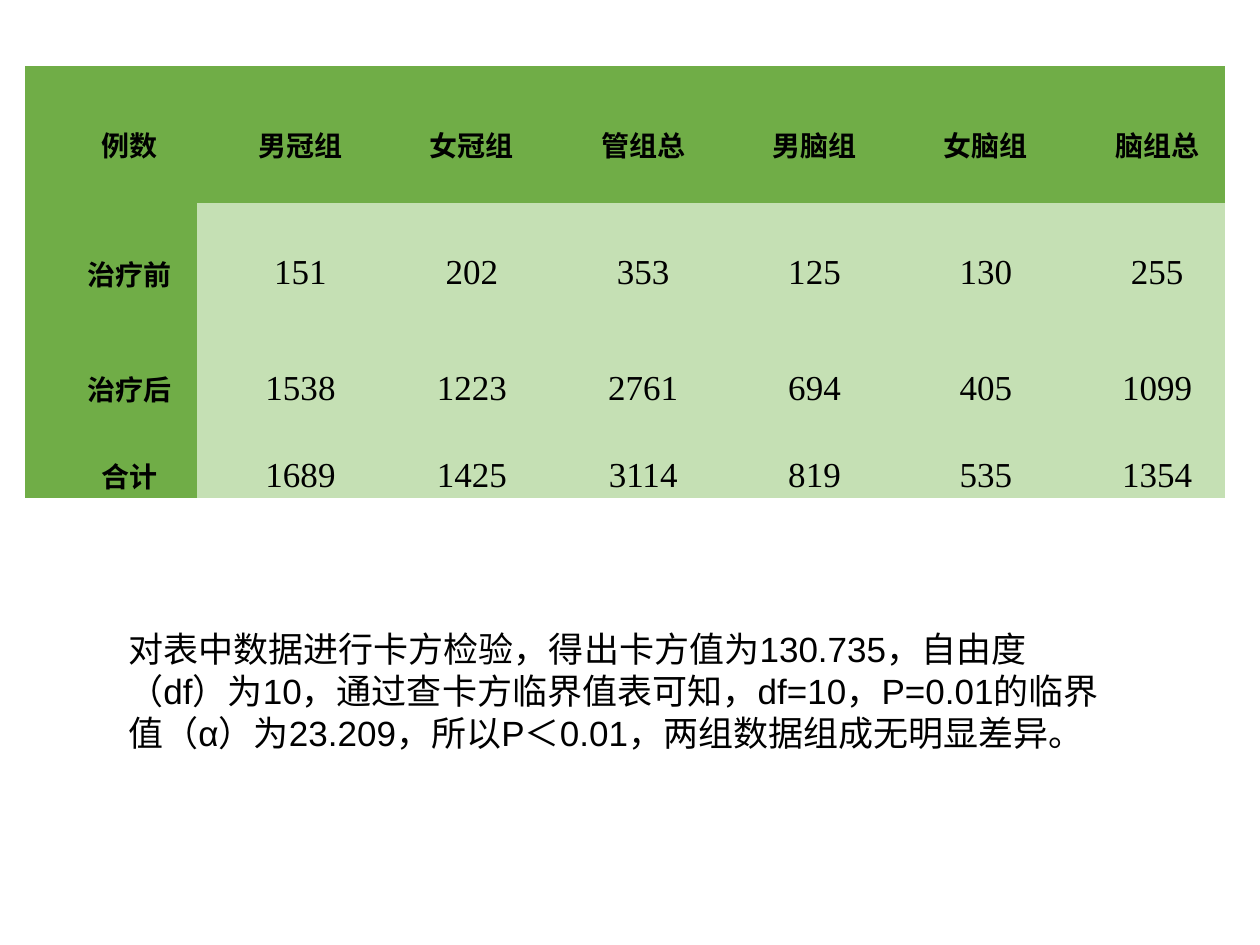
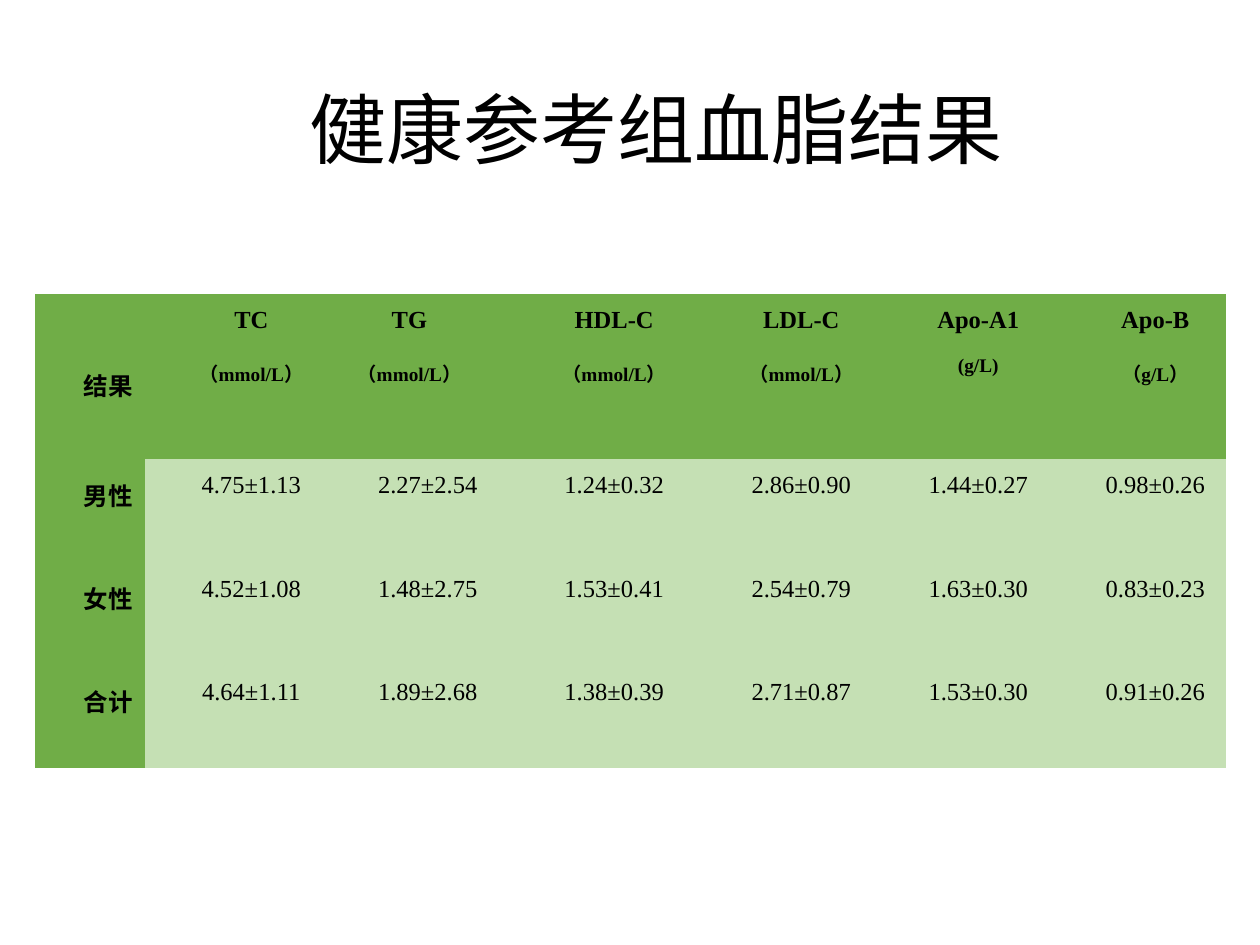
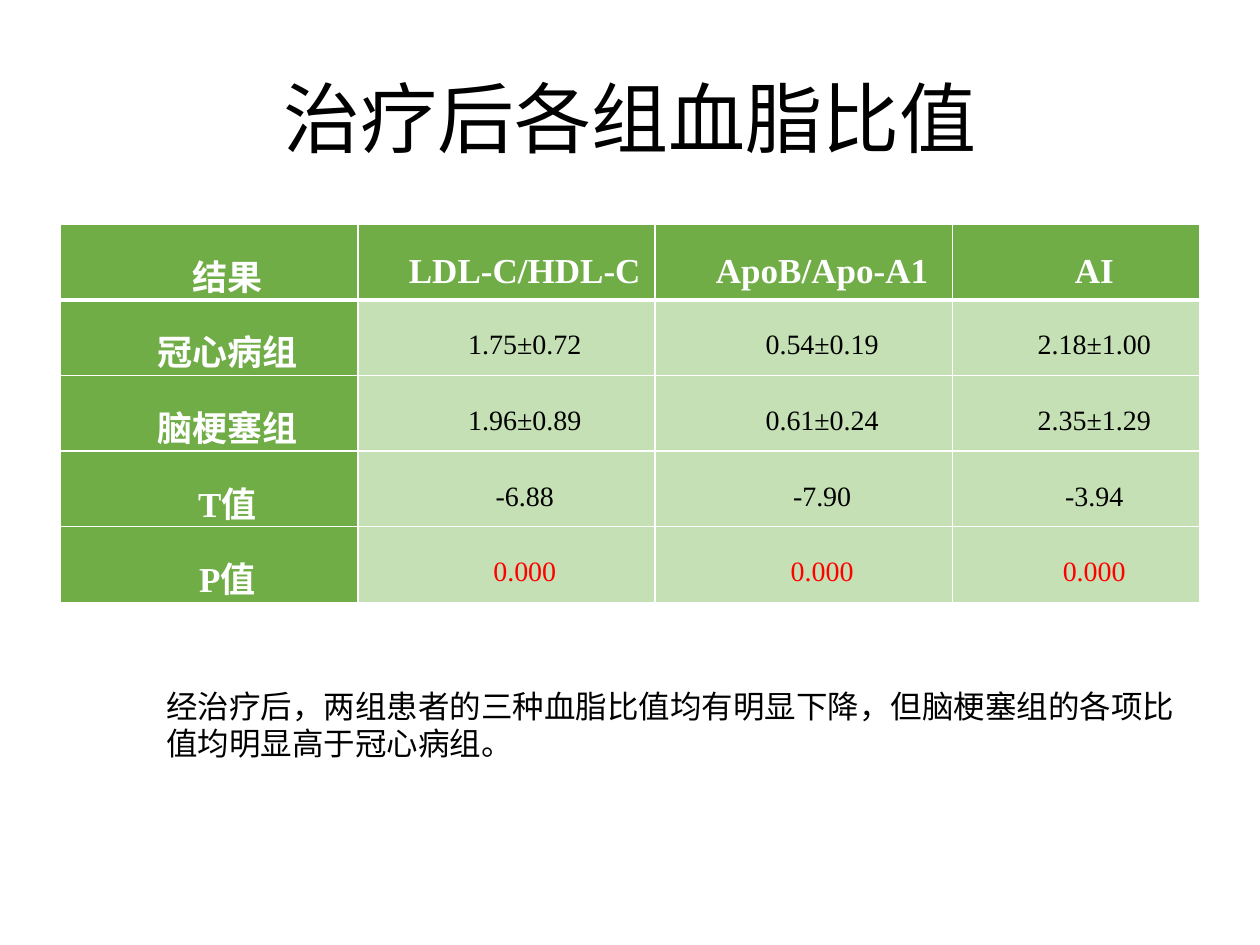
"""Build three slides of blood lipid study results."""
from lxml import etree
from pptx import Presentation
from pptx import util as u
from pptx.dml.color import RGBColor
from pptx.enum import text
from pptx.oxml import ns

GREEN = RGBColor(0x70, 0xAD, 0x47)
PALE = RGBColor(0xC5, 0xE0, 0xB4)
BLACK = RGBColor(0, 0, 0)
WHITE = RGBColor(0xFF, 0xFF, 0xFF)
RED = RGBColor(0xFF, 0, 0)
SANS, SERIF = "Arial", "Times New Roman"
NO_GRID = "{2D5ABB26-0587-4C30-8999-92F81FD0307C}"
INDENT = (0, 0.29)
HANGING = (0.15, -0.15)


def add_run(p, words, size, font, color=BLACK, bold=False):
    """Append one formatted run to a paragraph."""
    r = p.add_run()
    r.text = words
    r.font.size = u.Pt(size)
    r.font.name = font
    r.font.bold = bold
    r.font.color.rgb = color


def add_text(s, box, words, size, font):
    """Add a wrapping text box and return its text frame."""
    tf = s.shapes.add_textbox(*map(u.Inches, box)).text_frame
    tf.word_wrap = True
    add_run(tf.paragraphs[0], words, size, font)
    return tf


def add_title(s, box, words):
    """Add a large centred slide title."""
    tf = add_text(s, box, words, 44, SANS)
    tf.vertical_anchor = text.MSO_ANCHOR.MIDDLE
    p = tf.paragraphs[0]
    p.alignment = text.PP_ALIGN.CENTER
    p.line_spacing = 0.9


def add_note(s, box, words, size, font):
    """Add a conclusion in a box that grows with its text."""
    add_text(s, box, words, size, font).auto_size = text.MSO_AUTO_SIZE.SHAPE_TO_FIT_TEXT


def set_border(cell, side, points):
    """Draw a white line along one side of a cell."""
    ln = etree.SubElement(cell._tc.get_or_add_tcPr(), ns.qn(f"a:ln{side}"), w=str(u.Pt(points)))
    fill = etree.SubElement(ln, ns.qn("a:solidFill"))
    etree.SubElement(fill, ns.qn("a:srgbClr"), val=str(WHITE))


def fill_cell(cell, lines, fill, anchor, indent=INDENT):
    """Fill a cell with lines of (words, size, colour, bold)."""
    cell.fill.solid()
    cell.fill.fore_color.rgb = fill
    cell.vertical_anchor = anchor
    cell.margin_left = cell.margin_right = u.Inches(0.07)
    cell.margin_top = cell.margin_bottom = 0
    tf = cell.text_frame
    for i, (words, size, color, bold) in enumerate(lines):
        p = tf.add_paragraph() if i else tf.paragraphs[0]
        p.alignment = text.PP_ALIGN.CENTER
        p.line_spacing = 1.5
        p.space_after = u.Pt(6)
        pPr = p._p.get_or_add_pPr()
        pPr.set("marL", str(u.Inches(indent[0])))
        pPr.set("indent", str(u.Inches(indent[1])))
        add_run(p, words, size, SERIF, color, bold)


def add_results(s, left, top, cols, heights, rows, head_size, body_size,
                head_color=BLACK, anchor=text.MSO_ANCHOR.MIDDLE,
                grid=False, red_row=None, hanging_col=None):
    """Add a results table with a green header row and first column."""
    frame = s.shapes.add_table(len(rows), len(cols), u.Inches(left), u.Inches(top),
                               u.Inches(sum(cols)), u.Inches(sum(heights)))
    table = frame.table
    table._tbl.tblPr.find(ns.qn("a:tableStyleId")).text = NO_GRID
    table.horz_banding = False
    for col, width in zip(table.columns, cols):
        col.width = u.Inches(width)
    for row, height in zip(table.rows, heights):
        row.height = u.Inches(height)
    for i, values in enumerate(rows):
        for j, value in enumerate(values):
            cell = table.cell(i, j)
            if grid:
                for side in "LRTB":
                    under_head = (i, side) in ((0, "B"), (1, "T"))
                    set_border(cell, side, 3 if under_head else 1)
            head = i == 0 or j == 0
            size = head_size if head else body_size
            color = head_color if head else RED if i == red_row else BLACK
            name, *units = value.split("\n")
            lines = [(name, size, color, head)] + [(unit, 11, color, head) for unit in units]
            corner = i == j == 0
            fill_cell(cell, lines, GREEN if head else PALE,
                      text.MSO_ANCHOR.MIDDLE if corner else anchor,
                      HANGING if i == 0 and j == hanging_col else INDENT)


def build_case_counts(s):
    """Show case counts before and after treatment."""
    add_results(s, 0.2, 0.52, [1.36] * 7, [1.09, 0.96, 0.87, 0.51], [
        ["例数", "男冠组", "女冠组", "管组总", "男脑组", "女脑组", "脑组总"],
        ["治疗前", "151", "202", "353", "125", "130", "255"],
        ["治疗后", "1538", "1223", "2761", "694", "405", "1099"],
        ["合计", "1689", "1425", "3114", "819", "535", "1354"],
    ], 16, 20)
    add_note(s, (0.92, 4.93, 8.02, 1.11),
             "对表中数据进行卡方检验，得出卡方值为130.735，自由度（df）为10，"
             "通过查卡方临界值表可知，df=10，P=0.01的临界值（α）为23.209，"
             "所以P＜0.01，两组数据组成无明显差异。", 20, SANS)


def build_reference_group(s):
    """Show lipid results of the healthy reference group."""
    add_title(s, (0.9, 0.45, 8.62, 1.22), "健康参考组血脂结果")
    add_results(s, 0.28, 2.33, [0.87, 1.4, 1.4, 1.56, 1.41, 1.4, 1.41], [1.31] + [0.82] * 3, [
        ["结果", "TC\n（mmol/L）", "TG\n（mmol/L）", "HDL-C\n（mmol/L）",
         "LDL-C\n（mmol/L）", "Apo-A1\n(g/L)", "Apo-B\n（g/L）"],
        ["男性", "4.75±1.13", "2.27±2.54", "1.24±0.32", "2.86±0.90", "1.44±0.27", "0.98±0.26"],
        ["女性", "4.52±1.08", "1.48±2.75", "1.53±0.41", "2.54±0.79", "1.63±0.30", "0.83±0.23"],
        ["合计", "4.64±1.11", "1.89±2.68", "1.38±0.39", "2.71±0.87", "1.53±0.30", "0.91±0.26"],
    ], 14, 14, anchor=text.MSO_ANCHOR.TOP, hanging_col=2)


def build_lipid_ratios(s):
    """Show lipid ratios of both groups after treatment."""
    add_title(s, (0.69, 0.4, 8.62, 1.15), "治疗后各组血脂比值")
    add_results(s, 0.48, 1.78, [2.36, 2.36, 2.36, 1.96], [0.6] * 5, [
        ["结果", "LDL-C/HDL-C", "ApoB/Apo-A1", "AI"],
        ["冠心病组", "1.75±0.72", "0.54±0.19", "2.18±1.00"],
        ["脑梗塞组", "1.96±0.89", "0.61±0.24", "2.35±1.29"],
        ["T值", "-6.88", "-7.90", "-3.94"],
        ["P值", "0.000", "0.000", "0.000"],
    ], 20, 16, head_color=WHITE, grid=True, red_row=4)
    add_note(s, (1.22, 5.4, 8.3, 0.71),
             "经治疗后，两组患者的三种血脂比值均有明显下降，"
             "但脑梗塞组的各项比值均明显高于冠心病组。", 18, SERIF)


def main():
    """Create and save the presentation."""
    prs = Presentation()
    prs.slide_width, prs.slide_height = u.Inches(10), u.Inches(7.5)
    for build in (build_case_counts, build_reference_group, build_lipid_ratios):
        build(prs.slides.add_slide(prs.slide_layouts[6]))
    prs.save("out.pptx")


if __name__ == "__main__":
    main()
